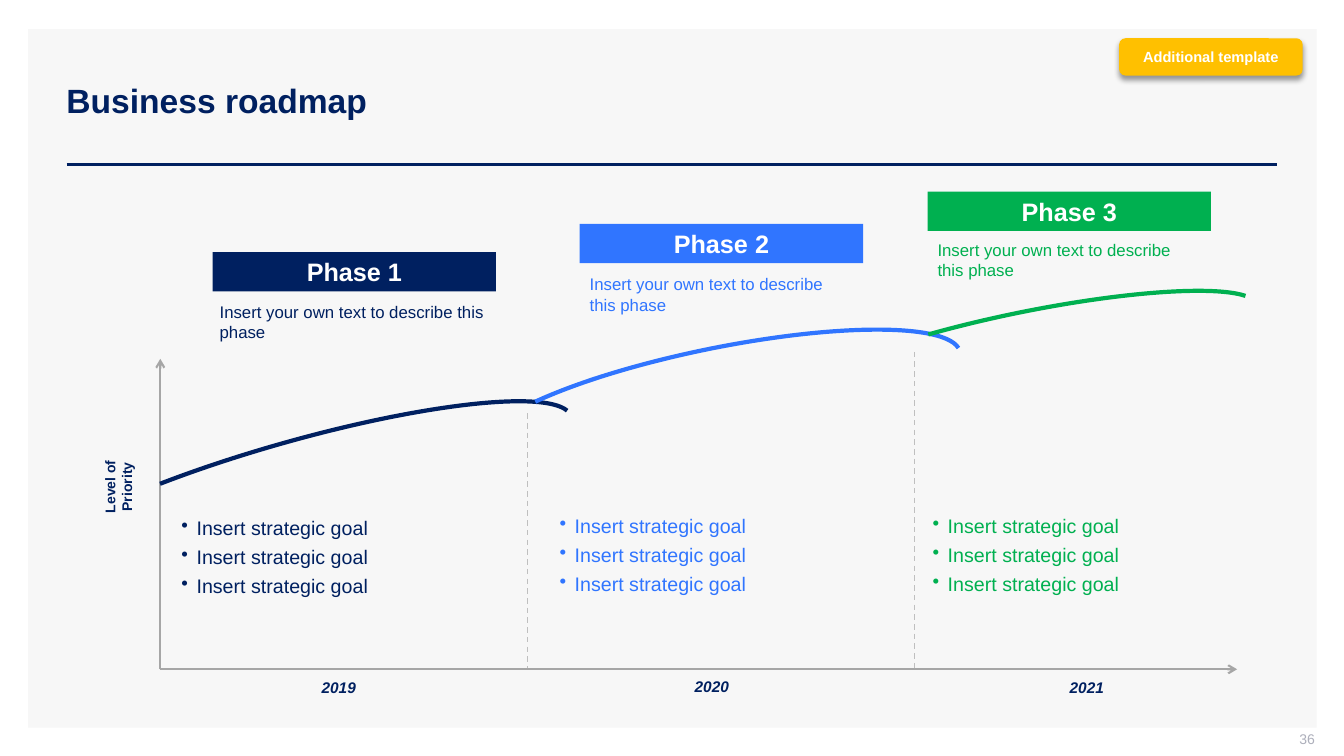
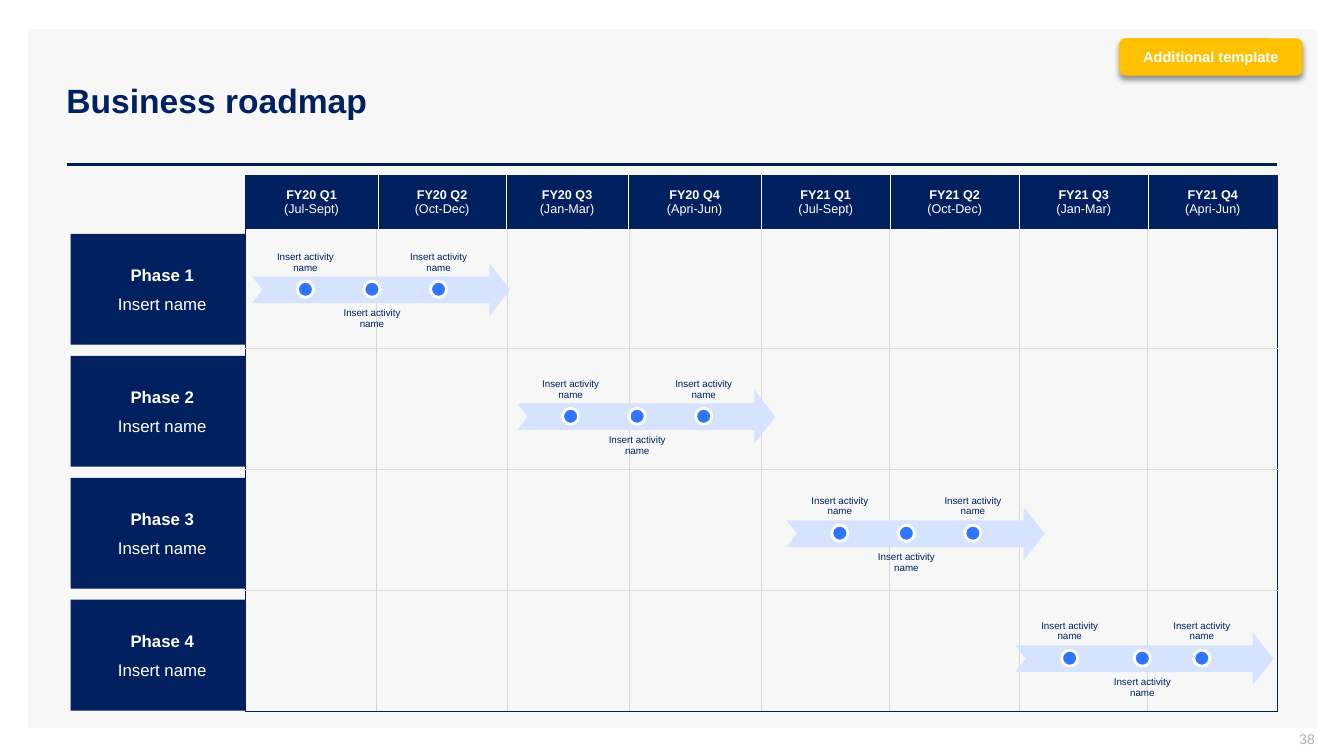
from lxml import etree
from pptx import Presentation
from pptx.dml.color import RGBColor
from pptx.enum.dml import MSO_LINE
from pptx.enum.shapes import MSO_CONNECTOR, MSO_SHAPE
from pptx.enum.text import MSO_ANCHOR as Anchor, PP_ALIGN as Align
from pptx.oxml import parse_xml
from pptx.oxml.ns import nsdecls, qn
from pptx.util import Inches, Pt

NAVY = RGBColor(0x00, 0x20, 0x60)
BLUE = RGBColor(0x30, 0x75, 0xFF)
GREEN = RGBColor(0x00, 0xB0, 0x50)
PALE_BLUE = RGBColor(0xD6, 0xE3, 0xFF)
AMBER = RGBColor(0xFF, 0xC0, 0x00)
WHITE = RGBColor(0xFF, 0xFF, 0xFF)
PANEL_GRAY = RGBColor(0xF7, 0xF7, 0xF7)
GRID_GRAY = RGBColor(0xD9, 0xD9, 0xD9)
DASH_GRAY = RGBColor(0xBF, 0xBF, 0xBF)
AXIS_GRAY = RGBColor(0xA6, 0xA6, 0xA6)
NUMBER_GRAY = RGBColor(0xAD, 0xAF, 0xBB)
FONT = "Arial"
DEFAULT_INSETS = (0.1, 0.05, 0.1, 0.05)
NO_INSETS = (0, 0, 0, 0)


class RoadmapDeck:
    def __init__(self):
        self.presentation = Presentation()
        self.presentation.slide_width = Inches(13.33)
        self.presentation.slide_height = Inches(7.5)
        self.slide = None

    def new_slide(self, title, number):
        self.slide = self.presentation.slides.add_slide(self.presentation.slide_layouts[6])
        self.shape(MSO_SHAPE.RECTANGLE, (0.28, 0.29, 12.78, 6.93), PANEL_GRAY)
        self.line((0.66, 1.63), (12.67, 1.63), NAVY, 2)
        self.text((0.56, 0.4, 12.11, 1.19), [title], 24, NAVY, bold_lines=1, anchor=Anchor.MIDDLE)
        self.text((10.04, 7.25, 3, 0.21), [number], 10, NUMBER_GRAY, align=Align.RIGHT,
                  anchor=Anchor.MIDDLE, insets=(0.1, 0, 0, 0.05))
        self.tag("Additional template")

    def fill_text(self, frame, lines, size, color, bold_lines=0, italic=False, align=Align.LEFT,
                  gap=0, line_spacing=None, bulleted=False):
        frame.text = "\n".join(lines)
        for index, paragraph in enumerate(frame.paragraphs):
            paragraph.alignment = align
            if index:
                paragraph.space_before = Pt(gap)
            if line_spacing:
                paragraph.line_spacing = line_spacing
            if bulleted:
                properties = paragraph._p.get_or_add_pPr()
                properties.set("marL", str(Inches(0.25)))
                properties.set("indent", str(Inches(-0.15)))
                etree.SubElement(properties, qn("a:buChar")).set("char", "•")
            for run in paragraph.runs:
                run.font.name = FONT
                run.font.size = Pt(size)
                run.font.color.rgb = color
                run.font.bold = index < bold_lines
                run.font.italic = italic

    def frame(self, shape, anchor, insets):
        frame = shape.text_frame
        frame.word_wrap = True
        frame.vertical_anchor = anchor
        frame.margin_left, frame.margin_top, frame.margin_right, frame.margin_bottom = map(Inches, insets)
        return frame

    def text(self, box, lines, size, color, anchor=Anchor.TOP, insets=DEFAULT_INSETS,
             rotation=0, **style):
        shape = self.slide.shapes.add_textbox(*map(Inches, box))
        shape.rotation = rotation
        self.fill_text(self.frame(shape, anchor, insets), lines, size, color, **style)

    def shape(self, kind, box, fill=None, outline=None, width=0):
        shape = self.slide.shapes.add_shape(kind, *map(Inches, box))
        shape.shadow.inherit = False
        if fill is None:
            shape.fill.background()
        else:
            shape.fill.solid()
            shape.fill.fore_color.rgb = fill
        if outline is None:
            shape.line.fill.background()
        else:
            shape.line.color.rgb = outline
            shape.line.width = Pt(width)
        return shape

    def label(self, box, fill, lines, size, kind=MSO_SHAPE.RECTANGLE, insets=DEFAULT_INSETS, gap=0):
        shape = self.shape(kind, box, fill)
        self.fill_text(self.frame(shape, Anchor.MIDDLE, insets), lines, size, WHITE,
                       bold_lines=1, align=Align.CENTER, gap=gap)
        return shape

    def tag(self, caption):
        shape = self.label((11.1, 0.38, 1.82, 0.37), AMBER, [caption], 10.5, MSO_SHAPE.ROUNDED_RECTANGLE)
        effects = shape._element.spPr.find(qn("a:effectLst"))
        effects.append(parse_xml(
            f'<a:outerShdw {nsdecls("a")} blurRad="{Pt(4)}" dist="{Pt(3)}" dir="5400000" rotWithShape="0">'
            '<a:srgbClr val="000000"><a:alpha val="40000"/></a:srgbClr></a:outerShdw>'))

    def line(self, start, end, color, width, dashed=False, arrow=False):
        connector = self.slide.shapes.add_connector(
            MSO_CONNECTOR.STRAIGHT, *map(Inches, start + end))
        connector.line.color.rgb = color
        connector.line.width = Pt(width)
        properties = connector._element.spPr
        if dashed:
            connector.line.dash_style = MSO_LINE.DASH
        if arrow:
            etree.SubElement(properties.find(qn("a:ln")), qn("a:tailEnd")).set("type", "arrow")
        etree.SubElement(properties, qn("a:effectLst"))

    def arc(self, box, rotation, start, end, color):
        shape = self.shape(MSO_SHAPE.ARC, box, outline=color, width=3)
        shape.adjustments[0] = start
        shape.adjustments[1] = end
        shape.rotation = rotation

    def table(self, left, top, widths, heights):
        box = (left, top, sum(widths), sum(heights))
        table = self.slide.shapes.add_table(len(heights), len(widths), *map(Inches, box)).table
        table.first_row = table.horz_banding = False
        for column, width in zip(table.columns, widths):
            column.width = Inches(width)
        for row, height in zip(table.rows, heights):
            row.height = Inches(height)
        return table

    def borders(self, table, inner, outer):
        last_row, last_column = len(table.rows) - 1, len(table.columns) - 1
        for row in range(last_row + 1):
            for column in range(last_column + 1):
                properties = table.cell(row, column)._tc.get_or_add_tcPr()
                edges = {"L": column == 0, "R": column == last_column,
                         "T": row == 0, "B": row == last_row}
                for side, on_edge in edges.items():
                    properties.append(parse_xml(
                        f'<a:ln{side} {nsdecls("a")} w="{Pt(0.75)}"><a:solidFill>'
                        f'<a:srgbClr val="{outer if on_edge else inner}"/></a:solidFill></a:ln{side}>'))

    def milestone_arrow(self, left, top, centers):
        arrow = self.shape(MSO_SHAPE.NOTCHED_RIGHT_ARROW, (left, top, 2.56, 0.53), PALE_BLUE)
        arrow.adjustments[0] = 0.5
        arrow.adjustments[1] = 0.39
        for index, center in enumerate(centers):
            x = left + center
            label_top = top + (0.45 if index % 2 else -0.11)
            self.shape(MSO_SHAPE.OVAL, (x - 0.08, top + 0.18, 0.16, 0.16), BLUE, WHITE, 2)
            self.text((x - 0.38, label_top, 0.76, 0.21), ["Insert activity name"], 7, NAVY,
                      insets=NO_INSETS, align=Align.CENTER, line_spacing=0.9)


def build_curve_slide(deck):
    deck.new_slide("Business roadmap", "36")
    for x, top in ((5.23, 4.1), (9.07, 3.49)):
        deck.line((x, top), (x, 6.64), DASH_GRAY, 1, dashed=True)
    origin = (1.59, 6.64)
    for end in ((1.59, 3.56), (12.27, 6.64)):
        deck.line(origin, end, AXIS_GRAY, 1.5, arrow=True)
    deck.text((0.67, 4.61, 1.01, 0.44), ["Level of Priority"], 10, NAVY, rotation=270,
              insets=(0, 0.05, 0, 0.05), bold_lines=1, align=Align.CENTER)
    deck.arc((0.11, 4.38, 5.66, 1.04), 344.2, 120.02, 215.23, NAVY)
    deck.arc((4.72, 3.45, 4.85, 1.04), 348.6, 114.56, 215.43, BLUE)
    deck.arc((7.9, 3.09, 4.61, 0.78), 348.6, 120.36, 214.31, GREEN)

    phases = (
        ("Phase 1", NAVY, (2.11, 2.5), (2.08, 2.94, 2.85), (1.66, 5.12)),
        ("Phase 2", BLUE, (5.75, 2.22), (5.75, 2.67, 2.81), (5.41, 5.1)),
        ("Phase 3", GREEN, (9.2, 1.9), (9.2, 2.33, 2.81), (9.11, 5.1)),
    )
    for name, color, name_at, description_at, goals_at in phases:
        deck.label((*name_at, 2.81, 0.39), color, [name], 18, insets=NO_INSETS)
        deck.text((*description_at, 0.5), ["Insert your own text to describe this phase"], 12, color)
        deck.text((*goals_at, 3.57, 0.85), ["Insert strategic goal"] * 3, 14, color,
                  insets=(0.04, 0, 0.04, 0.04), gap=4, bulleted=True)
    for year, left, top in (("2019", 3.09, 6.68), ("2020", 6.79, 6.67), ("2021", 10.51, 6.68)):
        deck.text((left, top, 0.54, 0.29), [year], 11, NAVY, insets=(0, 0.05, 0, 0.05),
                  bold_lines=1, italic=True, align=Align.CENTER)


def build_quarter_slide(deck):
    deck.new_slide("Business roadmap", "38")
    grid = deck.table(2.43, 2.26, (1.3, 1.3, 1.21, 1.31, 1.27, 1.29, 1.27, 1.29), (1.2,) * 4)
    deck.borders(grid, GRID_GRAY, NAVY)
    for cell in grid.iter_cells():
        cell.fill.background()

    header = deck.table(2.43, 1.74, (1.32, 1.27, 1.21, 1.32, 1.28, 1.28, 1.28, 1.28), (0.53,))
    deck.borders(header, WHITE, NAVY)
    months = ("(Jul-Sept)", "(Oct-Dec)", "(Jan-Mar)", "(Apri-Jun)")
    for index, cell in enumerate(header.iter_cells()):
        year, quarter = divmod(index, 4)
        cell.fill.solid()
        cell.fill.fore_color.rgb = NAVY
        cell.vertical_anchor = Anchor.MIDDLE
        deck.fill_text(cell.text_frame, [f"FY{20 + year} Q{quarter + 1}", months[quarter]], 9, WHITE,
                       bold_lines=1, align=Align.CENTER)

    regular = (0.53, 1.19, 1.85)
    arrows = ((2.5, 2.61, regular), (5.13, 3.87, regular), (7.8, 5.03, regular),
              (10.07, 6.27, (0.54, 1.26, 1.85)))
    for index, (left, top, centers) in enumerate(arrows):
        deck.label((0.7, 2.32 + index * 1.21, 1.73, 1.1), NAVY,
                   [f"Phase {index + 1}", "Insert name"], 12, insets=(0.13, 0.05, 0.04, 0.05), gap=6)
        deck.milestone_arrow(left, top, centers)


def main():
    deck = RoadmapDeck()
    build_curve_slide(deck)
    build_quarter_slide(deck)
    deck.presentation.save("out.pptx")


if __name__ == "__main__":
    main()
